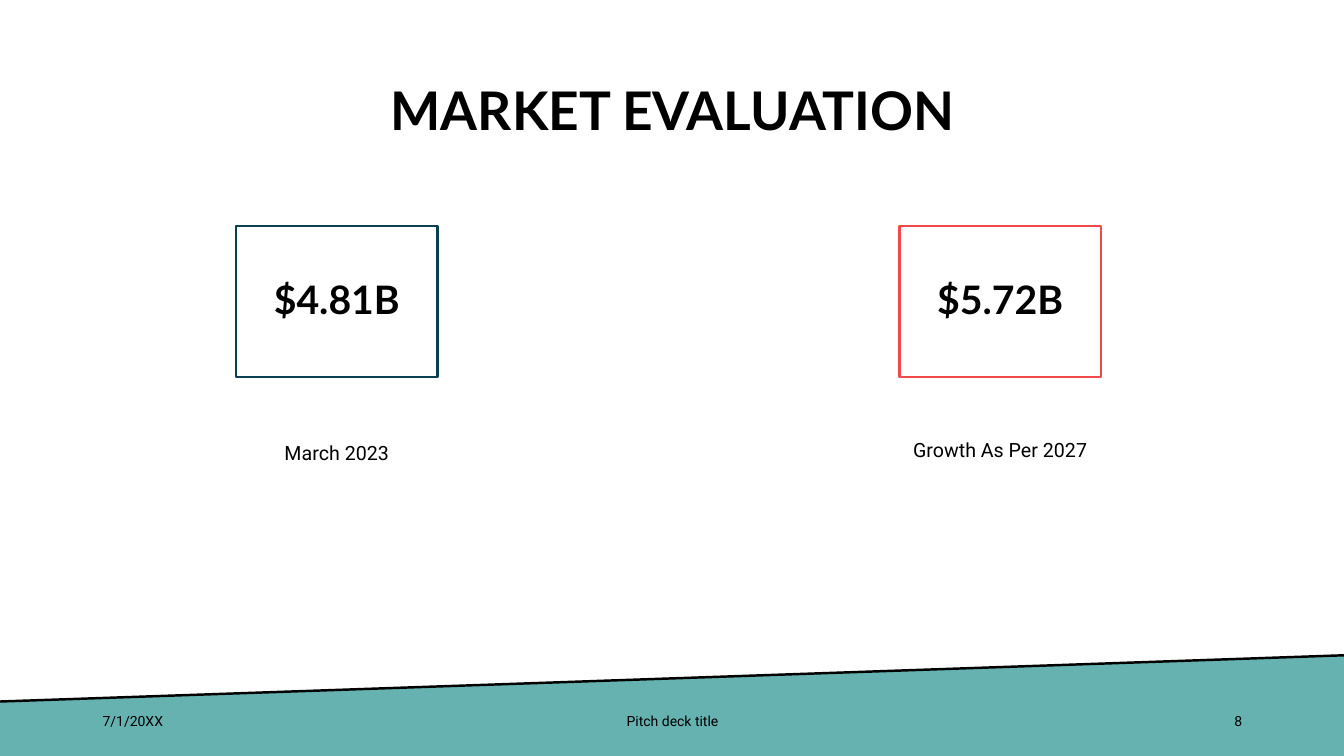
from lxml import etree
from pptx import Presentation
from pptx.dml.color import RGBColor
from pptx.enum.shapes import MSO_CONNECTOR
from pptx.enum.text import MSO_ANCHOR, MSO_AUTO_SIZE, PP_ALIGN
from pptx.oxml.ns import qn
from pptx.util import Inches, Pt

LEFT, CENTER, RIGHT = PP_ALIGN.LEFT, PP_ALIGN.CENTER, PP_ALIGN.RIGHT
TOP, MIDDLE = MSO_ANCHOR.TOP, MSO_ANCHOR.MIDDLE
NO_FIT = MSO_AUTO_SIZE.NONE
STRAIGHT = MSO_CONNECTOR.STRAIGHT
COMPARISON_LAYOUT = 4


def color(value):
    return RGBColor.from_string(value)


class MarketPage:
    heading_font = "Lato"
    body_font = "Roboto"
    ink = "000000"
    teal = "66B2B0"
    line_width = Pt(1.75)

    def __init__(self, deck):
        self.page = deck.slides.add_slide(deck.slide_layouts[COMPARISON_LAYOUT])

    def set_text(self, box, text, size, font, align=CENTER, anchor=MIDDLE,
                 spacing=1.0, before=0, bold=False):
        frame = box.text_frame
        frame.word_wrap = True
        frame.auto_size = NO_FIT
        frame.vertical_anchor = anchor
        para = frame.paragraphs[0]
        para.alignment = align
        para.line_spacing = spacing
        para.space_before = Pt(before)
        span = para.add_run()
        span.text = text
        span.font.name = font
        span.font.size = Pt(size)
        span.font.bold = bold
        span.font.color.rgb = color(self.ink)
        return para

    def placeholder(self, index, left, top, width, height):
        box = self.page.placeholders[index]
        box.left, box.top = Inches(left), Inches(top)
        box.width, box.height = Inches(width), Inches(height)
        return box

    def plain(self, para):
        """Remove the bullet and its indent."""
        properties = para._p.get_or_add_pPr()
        properties.set("marL", "0")
        properties.set("indent", "0")
        etree.SubElement(properties, qn("a:buNone"))

    def title(self, text):
        box = self.placeholder(0, 0.92, 0.4, 11.5, 1.45)
        self.set_text(box, text, 38, self.heading_font, spacing=0.9, bold=True)

    def figure(self, index, left, value, outline):
        box = self.placeholder(index, left, 2.24, 2, 1.5)
        box.line.color.rgb = color(outline)
        box.line.width = self.line_width
        self.plain(self.set_text(box, value, 28, self.heading_font,
                                 spacing=0.9, bold=True))

    def caption(self, index, left, top, text):
        box = self.placeholder(index, left, top, 3, 1.75)
        self.plain(self.set_text(box, text, 14, self.body_font, anchor=TOP,
                                 spacing=Pt(24), before=10))

    def footer(self, left, width, text, align):
        box = self.page.shapes.add_textbox(
            Inches(left), Inches(6.95), Inches(width), Inches(0.4))
        self.set_text(box, text, 10, self.body_font, align)

    def band(self, corners):
        points = [(Inches(x), Inches(y)) for x, y in corners]
        builder = self.page.shapes.build_freeform(*points[0])
        builder.add_line_segments(points[1:], close=True)
        band = builder.convert_to_shape()
        band.shadow.inherit = False
        band.fill.solid()
        band.fill.fore_color.rgb = color(self.teal)
        band.line.fill.background()

    def edge(self, start, end):
        line = self.page.shapes.add_connector(
            STRAIGHT, *(Inches(value) for value in (*start, *end)))
        line.line.color.rgb = color(self.ink)
        line.line.width = self.line_width
        etree.SubElement(line._element.spPr, qn("a:effectLst"))


def main():
    deck = Presentation()
    deck.slide_width, deck.slide_height = Inches(13.33), Inches(7.5)
    market = MarketPage(deck)

    # Sloping footer band
    low, high = (-0.01, 6.96), (13.35, 6.5)
    market.band([low, high, (13.35, 7.5), (0, 7.53)])
    market.edge(high, low)

    # Title and the two market values
    market.title("MARKET EVALUATION")
    values = [
        (1, 2.34, "$4.81B", "0A4054", 4.22, "March 2023"),
        (3, 8.92, "$5.72B", "F2494C", 4.19, "Growth As Per 2027"),
    ]
    for index, left, value, outline, top, label in values:
        market.figure(index, left, value, outline)
        market.caption(index + 1, left - 0.5, top, label)

    # Footer texts
    market.footer(0.92, 3, "7/1/20XX", LEFT)
    market.footer(4.42, 4.5, "Pitch deck title", CENTER)
    market.footer(9.42, 3, "8", RIGHT)

    deck.save("out.pptx")


if __name__ == "__main__":
    main()
